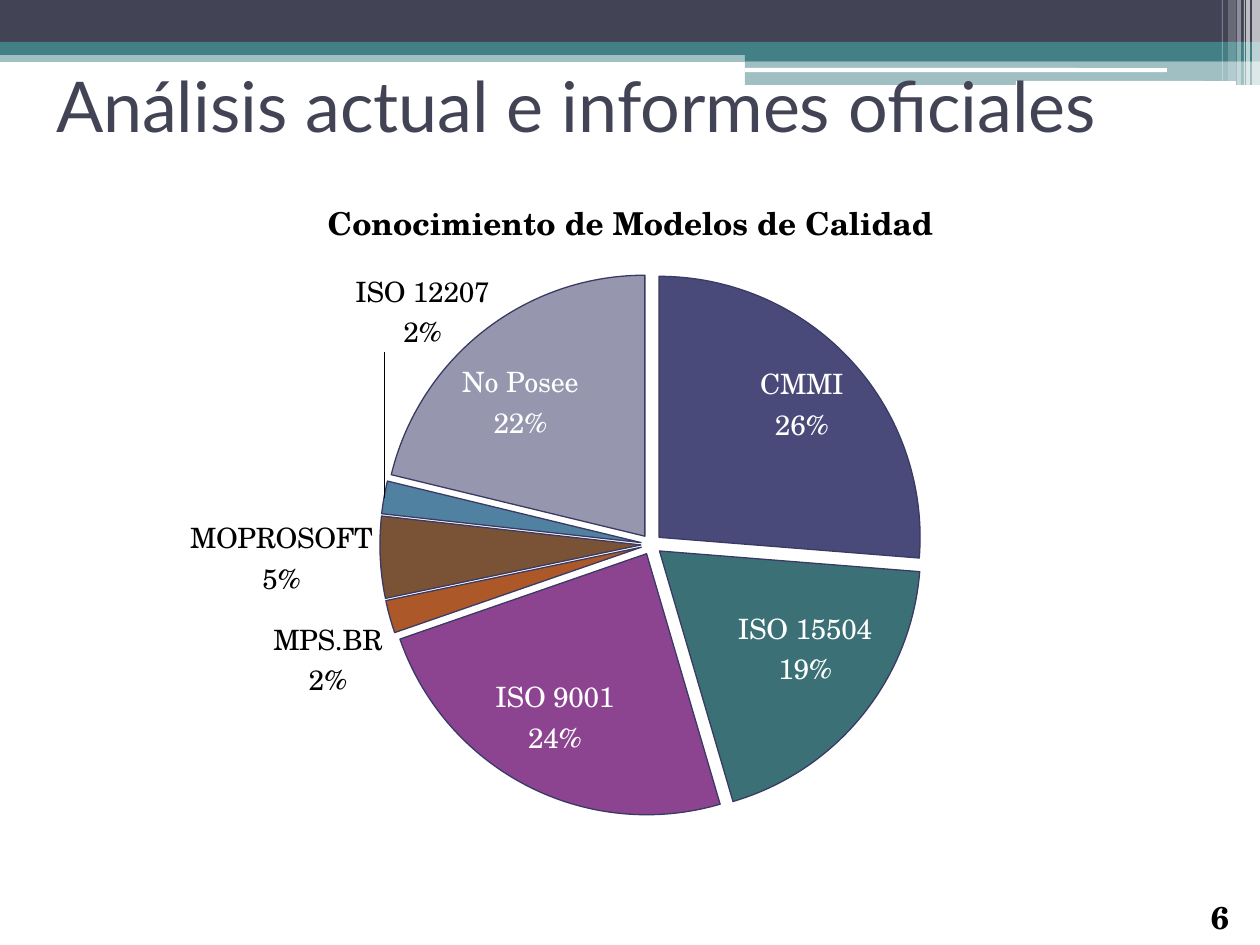
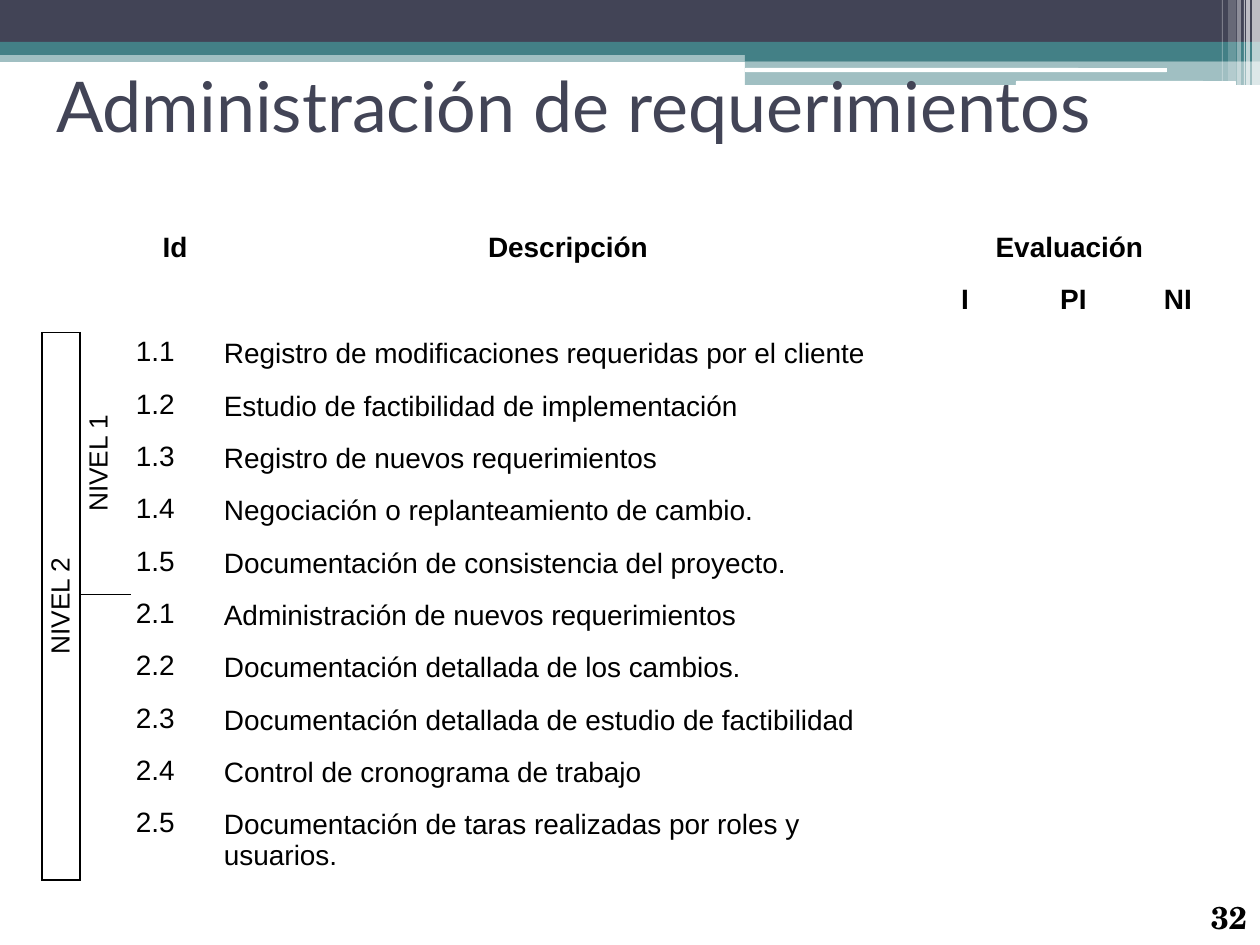
from lxml import etree
from pptx import Presentation
from pptx.chart.data import CategoryChartData
from pptx.dml.color import RGBColor
from pptx.enum.chart import XL_CHART_TYPE, XL_LABEL_POSITION
from pptx.enum.shapes import MSO_SHAPE
from pptx.enum.text import MSO_ANCHOR, MSO_AUTO_SIZE, PP_ALIGN
from pptx.oxml.ns import qn
from pptx.util import Emu, Pt

RECT, ROUND = MSO_SHAPE.RECTANGLE, MSO_SHAPE.ROUNDED_RECTANGLE
LEFT, CENTER = PP_ALIGN.LEFT, PP_ALIGN.CENTER
TOP, MIDDLE = MSO_ANCHOR.TOP, MSO_ANCHOR.MIDDLE
INSIDE, OUTSIDE = XL_LABEL_POSITION.INSIDE_END, XL_LABEL_POSITION.OUTSIDE_END
EMU_PER_PX = 914400 / 126
TITLE_FONT, CHART_FONT, TABLE_FONT = "Lato", "TeX Gyre Schola", "Arial"

COLORS = {
    "ink": "424456", "teal": "438086", "white": "FFFFFF", "black": "000000",
    "edge": "3A3A64", "indigo": "494A79", "pine": "3B7176", "purple": "8D4490",
    "orange": "AC5829", "brown": "7A5236", "blue": "5181A0", "lavender": "9696AE",
}

# shape, left, top, width, height, colour, opacity in percent
BANDS = [
    (RECT, 0, 50, 1260, 12, "teal", 50),
    (RECT, 0, 0, 1260, 42, "ink", 100),
    (RECT, 0, 42, 1260, 13, "teal", 100),
    (RECT, 745, 49, 515, 12, "teal", 100),
    (RECT, 745, 61, 515, 24, "teal", 50),
    (ROUND, 745, 68, 422, 4, "white", 100),
    (ROUND, 1016, 81, 220, 5, "white", 100),
    (RECT, 1252, 0, 8, 85, "white", 65),
    (RECT, 1246, 0, 4, 85, "white", 65),
    (RECT, 1244, 0, 1, 85, "white", 60),
    (RECT, 1237, 0, 4, 85, "white", 40),
    (RECT, 1228, 0, 8, 81, "white", 20),
    (RECT, 1222, 0, 1, 81, "white", 30),
]

# model, value, colour, label written inside the slice, label shift in px
MODELS = [
    ("CMMI", 26, "indigo", "CMMI\n26%", (-2, -2)),
    ("ISO 15504", 19, "pine", "ISO 15504\n19%", (16, -22)),
    ("ISO 9001", 24, "purple", "ISO 9001\n24%", (-35, -22)),
    ("MPS.BR", 2, "orange", None, None),
    ("MOPROSOFT", 5, "brown", None, None),
    ("ISO 12207", 2, "blue", None, (113, -144)),
    ("No Posee", 21, "lavender", "No Posee\n22%", (-26, 24)),
]
CHART_W, CHART_H = 1197, 716

REQUIREMENTS = [
    ("1.1", "Registro de modificaciones requeridas por el cliente"),
    ("1.2", "Estudio de factibilidad de implementación"),
    ("1.3", "Registro de nuevos requerimientos"),
    ("1.4", "Negociación o replanteamiento de cambio."),
    ("1.5", "Documentación de consistencia del proyecto."),
    ("2.1", "Administración de nuevos requerimientos"),
    ("2.2", "Documentación detallada de los cambios."),
    ("2.3", "Documentación detallada de estudio de factibilidad"),
    ("2.4", "Control de cronograma de trabajo"),
    ("2.5", "Documentación de taras realizadas por roles y usuarios."),
]
COLUMNS = [38, 51, 88, 698, 96, 121, 88]
HEAD_ROWS, LEVEL_ROWS = 2, 5
ROWS = HEAD_ROWS + len(REQUIREMENTS)


def px(n):
    return Emu(round(n * EMU_PER_PX))


def rgb(name):
    return RGBColor.from_string(COLORS[name])


def style(font, name, size, color="black", bold=False):
    font.name, font.size, font.bold = name, Pt(size), bold
    font.color.rgb = rgb(color)


def write(tf, text, font, size, color="black", bold=False, align=LEFT, spacing=None):
    for i, line in enumerate(text.split("\n")):
        p = tf.add_paragraph() if i else tf.paragraphs[0]
        p.alignment = align
        if spacing:
            p.line_spacing = spacing
        r = p.add_run()
        r.text = line
        style(r.font, font, size, color, bold)


def set_insets(box, left, top, right, bottom):
    box.margin_left, box.margin_top = px(left), px(top)
    box.margin_right, box.margin_bottom = px(right), px(bottom)


def add_bands(s, layout):
    """Draw the header bands and move them behind the layout's placeholders."""
    for i, (kind, x, y, w, h, color, opacity) in enumerate(BANDS):
        sp = s.shapes.add_shape(kind, px(x), px(y), px(w), px(h))
        sp.name = f"Banda {i + 1}"
        sp.shadow.inherit = False
        sp.line.fill.background()
        sp.fill.solid()
        sp.fill.fore_color.rgb = rgb(color)
        if opacity < 100:
            clr = sp.element.xpath("./p:spPr/a:solidFill/a:srgbClr")[0]
            etree.SubElement(clr, qn("a:alpha"), val=str(opacity * 1000))
        sp.element.nvSpPr.cNvPr.id = 100 + i
        layout.shapes.element.insert(2 + i, sp.element)


def add_title(s, text):
    sp = s.shapes.title
    sp.left, sp.top, sp.width, sp.height = px(45), px(14), px(1171), px(182)
    tf = sp.text_frame
    tf.auto_size, tf.word_wrap = MSO_AUTO_SIZE.NONE, True
    tf.vertical_anchor = MIDDLE
    set_insets(tf, 11, 5, 11, 6)
    write(tf, text, TITLE_FONT, 40, "ink")


def add_page_number(s, number):
    sp = s.shapes.add_textbox(px(1200), px(890), px(161), px(54))
    tf = sp.text_frame
    tf.word_wrap = False
    set_insets(tf, 11, 8, 11, 5)
    write(tf, str(number), CHART_FONT, 18, bold=True)


def add_layout(parent, index, x, y, w=None, h=None):
    """Place a chart part by hand: a plot area if it has a size, else a label."""
    old = parent.find(qn("c:layout"))
    if old is not None:
        parent.remove(old)
    values = {"x": x / CHART_W, "y": y / CHART_H}
    if w:
        values = {"layoutTarget": "inner", "xMode": "edge", "yMode": "edge",
                  **values, "w": w / CHART_W, "h": h / CHART_H}
    layout = etree.Element(qn("c:layout"))
    manual = etree.SubElement(layout, qn("c:manualLayout"))
    for tag, val in values.items():
        etree.SubElement(manual, qn(f"c:{tag}"), val=str(val))
    parent.insert(index, layout)


def add_models_pie(s):
    data = CategoryChartData()
    data.categories = [m[0] for m in MODELS]
    data.add_series("Series 1", [m[1] for m in MODELS])
    chart = s.shapes.add_chart(XL_CHART_TYPE.PIE, px(32), px(168),
                               px(CHART_W), px(CHART_H), data).chart
    style(chart.font, CHART_FONT, 10)
    chart.has_legend = False
    chart.has_title = True
    write(chart.chart_title.text_frame, "Conocimiento de Modelos de Calidad",
          CHART_FONT, 18, bold=True, align=CENTER)
    chart.plots[0].vary_by_categories = True
    ser = chart.plots[0].series[0]
    root = chart.element

    labels = ser.data_labels
    labels.show_value = False
    labels.show_category_name = labels.show_percentage = True
    labels.position = OUTSIDE
    style(labels.font, CHART_FONT, 16)
    for i, (_, _, color, text, shift) in enumerate(MODELS):
        point = ser.points[i]
        point.format.fill.solid()
        point.format.fill.fore_color.rgb = rgb(color)
        point.format.line.color.rgb = rgb("edge")
        point.format.line.width = Pt(0.75)
        if not shift:
            continue
        label = point.data_label
        if text:
            write(label.text_frame, text, CHART_FONT, 16, "white", align=CENTER)
        else:
            style(label.font, CHART_FONT, 16)
        label.position = INSIDE if text else OUTSIDE
        dLbl = root.xpath(f'.//c:dLbl[c:idx/@val="{i}"]')[0]
        add_layout(dLbl, 1, *shift)
        if not text:
            for tag, val in (("Val", "0"), ("CatName", "1"), ("Percent", "1")):
                dLbl.find(qn(f"c:show{tag}")).set("val", val)

    for bubble in root.xpath(".//c:ser//c:showBubbleSize"):
        separator = etree.Element(qn("c:separator"))
        separator.text = "\n"
        bubble.addnext(separator)
    explosion = etree.Element(qn("c:explosion"), val="4")
    root.xpath(".//c:ser/c:dPt")[0].addprevious(explosion)
    add_layout(root.xpath(".//c:plotArea")[0], 0, 115, 105, 1009, 543)


def ruled_sides(row, col):
    """Sides of a cell that carry a visible line."""
    sides = set()
    body = row >= HEAD_ROWS
    level_1_end = HEAD_ROWS + LEVEL_ROWS
    if body and col <= 1:
        sides.add("L")
    if body and col == 0:
        sides.add("R")
    if (row, col) in {(HEAD_ROWS, 0), (level_1_end, 1)}:
        sides.add("T")
    if (row, col) in {(HEAD_ROWS - 1, 0), (HEAD_ROWS, 0), (ROWS - 1, 0),
                      (HEAD_ROWS, 1), (level_1_end - 1, 1)}:
        sides.add("B")
    return sides


def set_borders(tcPr, sides):
    for i, side in enumerate("LRTB"):
        ln = etree.Element(qn(f"a:ln{side}"), w="12700")
        if side in sides:
            fill = etree.SubElement(ln, qn("a:solidFill"))
            etree.SubElement(fill, qn("a:srgbClr"), val=COLORS["black"])
        else:
            etree.SubElement(ln, qn("a:noFill"))
        tcPr.insert(i, ln)


def add_requirements_table(s):
    frame = s.shapes.add_table(ROWS, len(COLUMNS), px(42), px(228),
                               px(sum(COLUMNS)), px(650))
    table = frame.table
    table.first_row = table.horz_banding = False
    for column, width in zip(table.columns, COLUMNS):
        column.width = px(width)
    for row in table.rows:
        row.height = px(576) // (ROWS - 1)
    table.rows[ROWS - 1].height = px(74)

    tcs = frame.element.xpath(".//a:tc")
    for i, tc in enumerate(tcs):
        row, col = divmod(i, len(COLUMNS))
        cell = table.cell(row, col)
        set_insets(cell, 5, 6, 5, 3)
        cell.vertical_anchor = TOP
        cell.fill.background()
        set_borders(tc.find(qn("a:tcPr")), ruled_sides(row, col))

    def fill_cell(row, col, text, size=16, **fmt):
        write(table.cell(row, col).text_frame, text, TABLE_FONT, size, **fmt)

    def merge(row, col, rows, cols):
        table.cell(row, col).merge(table.cell(row + rows - 1, col + cols - 1))

    for col, head in ((2, "Id"), (3, "Descripción"), (4, "Evaluación")):
        merge(0, col, *((1, 3) if col == 4 else (2, 1)))
        fill_cell(0, col, head, bold=True, align=CENTER, spacing=0.93)
    for col, head in enumerate(("I", "PI", "NI"), 4):
        fill_cell(1, col, head, bold=True, align=CENTER, spacing=0.93)

    for col, level, rows in ((0, "NIVEL 2", len(REQUIREMENTS)),
                             (1, "NIVEL 1", LEVEL_ROWS)):
        merge(HEAD_ROWS, col, rows, 1)
        fill_cell(HEAD_ROWS, col, level, size=15, align=CENTER, spacing=0.93)
        table.cell(HEAD_ROWS, col).vertical_anchor = MIDDLE
        tc = tcs[HEAD_ROWS * len(COLUMNS) + col]
        tc.find(qn("a:tcPr")).set("vert", "vert270")

    for row, (number, description) in enumerate(REQUIREMENTS, HEAD_ROWS):
        fill_cell(row, 2, number, spacing=0.93)
        fill_cell(row, 3, description)


def main():
    prs = Presentation()
    prs.slide_width, prs.slide_height = px(1260), px(945)
    layout = prs.slide_layouts[5]
    pages = [
        ("Análisis actual e informes oficiales", 6, add_models_pie),
        ("Administración de requerimientos", 32, add_requirements_table),
    ]
    for i, (title, number, add_content) in enumerate(pages):
        s = prs.slides.add_slide(layout)
        if i == 0:
            add_bands(s, layout)
        add_title(s, title)
        add_page_number(s, number)
        add_content(s)
    prs.save("out.pptx")


if __name__ == "__main__":
    main()
